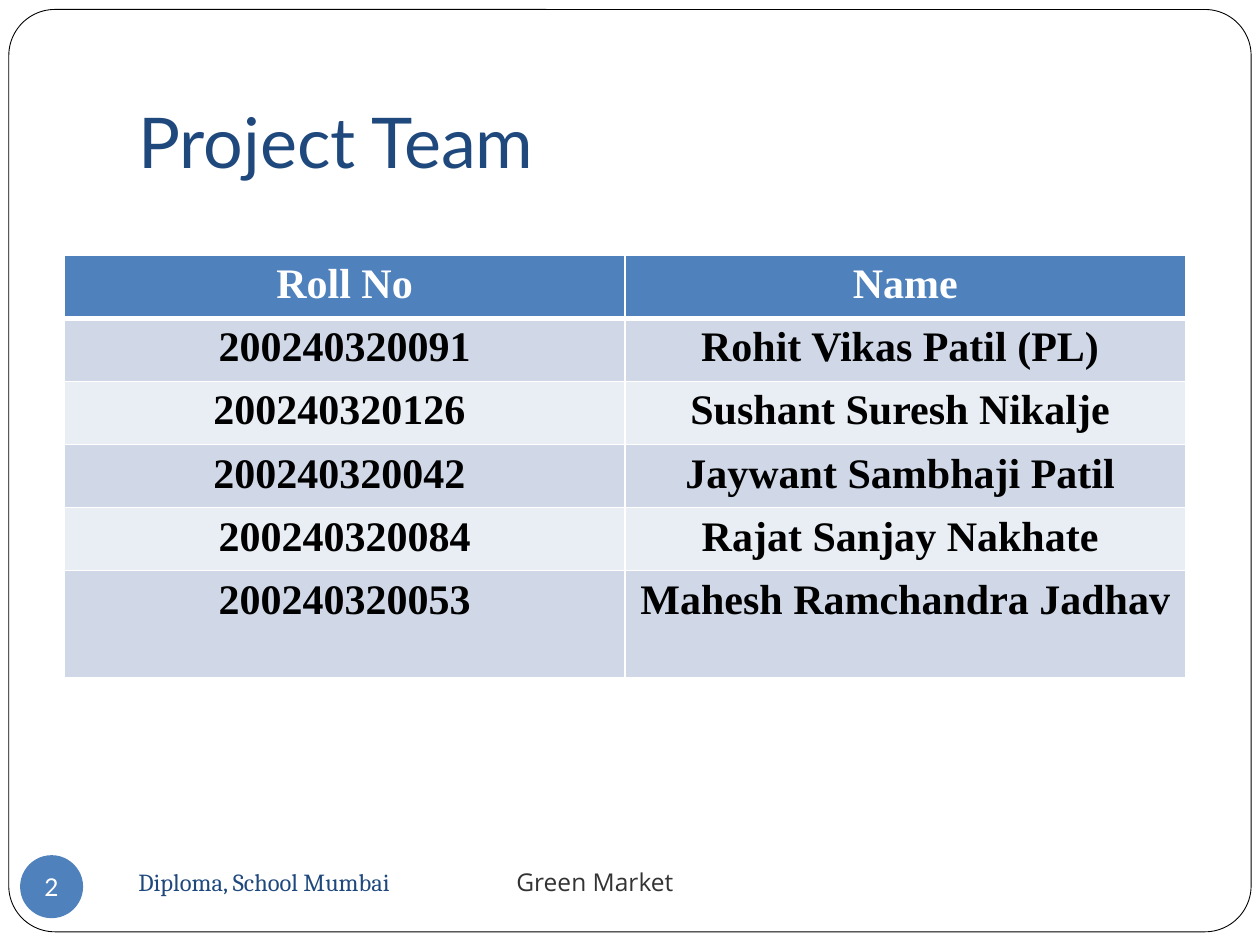
from lxml import etree
from pptx import Presentation
from pptx import util as u
from pptx.dml.color import RGBColor
from pptx.enum import shapes, text
from pptx.oxml import ns

NAVY, BLUE, WHITE, BLACK, GREY = "1F497D", "4F81BD", "FFFFFF", "000000", "333333"
BANDS = ("D0D8E8", "E9EDF4")
TEAM = [
    ("Roll No", "Name"),
    ("200240320091", "Rohit Vikas Patil (PL) "),
    ("200240320126 ", "Sushant Suresh Nikalje "),
    ("200240320042 ", "Jaywant Sambhaji Patil "),
    ("200240320084", "Rajat Sanjay Nakhate "),
    ("200240320053", "Mahesh Ramchandra Jadhav "),
]


def colour(value):
    """Turn a hex string into a colour."""
    return RGBColor.from_string(value)


def add_xml(parent, tag, **attributes):
    """Append a drawing element to parent and return it."""
    return etree.SubElement(parent, ns.qn(tag), attributes)


class SlideBuilder:
    """Holds the slide, its size and the text style."""

    def __init__(self, presentation):
        """Add a blank slide."""
        self.slide = presentation.slides.add_slide(presentation.slide_layouts[6])
        self.width, self.height = presentation.slide_width, presentation.slide_height

    def box(self, left, top, width, height):
        """Convert shares of the slide's size to lengths."""
        return (int(left * self.width), int(top * self.height),
                int(width * self.width), int(height * self.height))

    def style(self, font, name, size, shade, bold=False):
        """Set name, size, colour and weight of a font."""
        font.name, font.size, font.bold = name, u.Pt(size), bold
        font.color.rgb = colour(shade)

    def shape(self, kind, area, fill, line=None):
        """Draw a filled preset shape, outlined if a line colour is given."""
        shape = self.slide.shapes.add_shape(kind, *self.box(*area))
        shape.shadow.inherit = False
        shape.fill.solid()
        shape.fill.fore_color.rgb = colour(fill)
        if line:
            shape.line.color.rgb = colour(line)
            shape.line.width = u.Pt(0.5)
        else:
            shape.line.fill.background()
        return shape

    def badge(self, area, number):
        """Draw a round slide number."""
        frame = self.shape(shapes.MSO_SHAPE.OVAL, area, BLUE).text_frame
        frame.margin_left = frame.margin_right = frame.margin_top = frame.margin_bottom = 0
        frame.word_wrap = False
        frame.vertical_anchor = text.MSO_ANCHOR.MIDDLE
        frame.text = number
        frame.paragraphs[0].alignment = text.PP_ALIGN.CENTER
        self.style(frame.paragraphs[0].font, "Lato", 14, WHITE)

    def text(self, area, runs, size, anchor, bottom=0.05, tab=None):
        """Write one line from (words, font name, colour) runs."""
        frame = self.slide.shapes.add_textbox(*self.box(*area)).text_frame
        frame.word_wrap, frame.vertical_anchor = True, anchor
        frame.margin_bottom = u.Inches(bottom)
        paragraph = frame.paragraphs[0]
        if tab:
            stops = add_xml(paragraph._p.get_or_add_pPr(), "a:tabLst")
            add_xml(stops, "a:tab", pos=str(u.Inches(tab)), algn="l")
        for words, name, shade in runs:
            run = paragraph.add_run()
            run.text = words
            self.style(run.font, name, size, shade)

    def borders(self, cell, header):
        """Give a cell white edges, with a heavy one under the header."""
        properties = cell._tc.get_or_add_tcPr()
        for index, side in enumerate(("a:lnL", "a:lnR", "a:lnT", "a:lnB")):
            width = 3 if header and side == "a:lnB" else 1
            line = etree.Element(ns.qn(side), w=str(u.Pt(width)))
            add_xml(add_xml(line, "a:solidFill"), "a:srgbClr", val=WHITE)
            properties.insert(index, line)

    def table(self, area, rows, row_heights):
        """Draw a banded table with a header row."""
        table = self.slide.shapes.add_table(len(rows), len(rows[0]), *self.box(*area)).table
        for index, (values, height) in enumerate(zip(rows, row_heights)):
            table.rows[index].height = u.Inches(height)
            header = index == 0
            for column, value in enumerate(values):
                cell = table.cell(index, column)
                cell.text = value
                cell.fill.solid()
                cell.fill.fore_color.rgb = colour(BLUE if header else BANDS[(index - 1) % 2])
                self.borders(cell, header)
                paragraph = cell.text_frame.paragraphs[0]
                paragraph.alignment = text.PP_ALIGN.CENTER
                self.style(paragraph.font, "Times New Roman", 24,
                           WHITE if header else BLACK, True)


def main():
    """Build and save the team slide."""
    presentation = Presentation()
    presentation.slide_width, presentation.slide_height = u.Inches(10), u.Inches(7.5)
    builder = SlideBuilder(presentation)
    frame = builder.shape(shapes.MSO_SHAPE.ROUNDED_RECTANGLE,
                          (0.007, 0.01, 0.986, 0.976), WHITE, BLACK)
    frame.adjustments[0] = 0.05
    builder.text((0.1, 0.04, 0.85, 1 / 6), [("Project Team", "Lato", NAVY)], 40,
                 text.MSO_ANCHOR.BOTTOM, bottom=0.1)
    builder.badge((0.016, 0.905, 0.05, 1 / 15), "2")
    builder.text((0.1, 0.9, 0.63, 1 / 15),
                 [("Diploma, School Mumbai \t", "Cambria", NAVY),
                  ("Green Market", "Open Sans", GREY)],
                 14, text.MSO_ANCHOR.MIDDLE, tab=3)
    builder.table((0.051, 0.27, 0.89, 0.43), TEAM, [0.47] * 5 + [0.85])
    presentation.save("out.pptx")


main()
